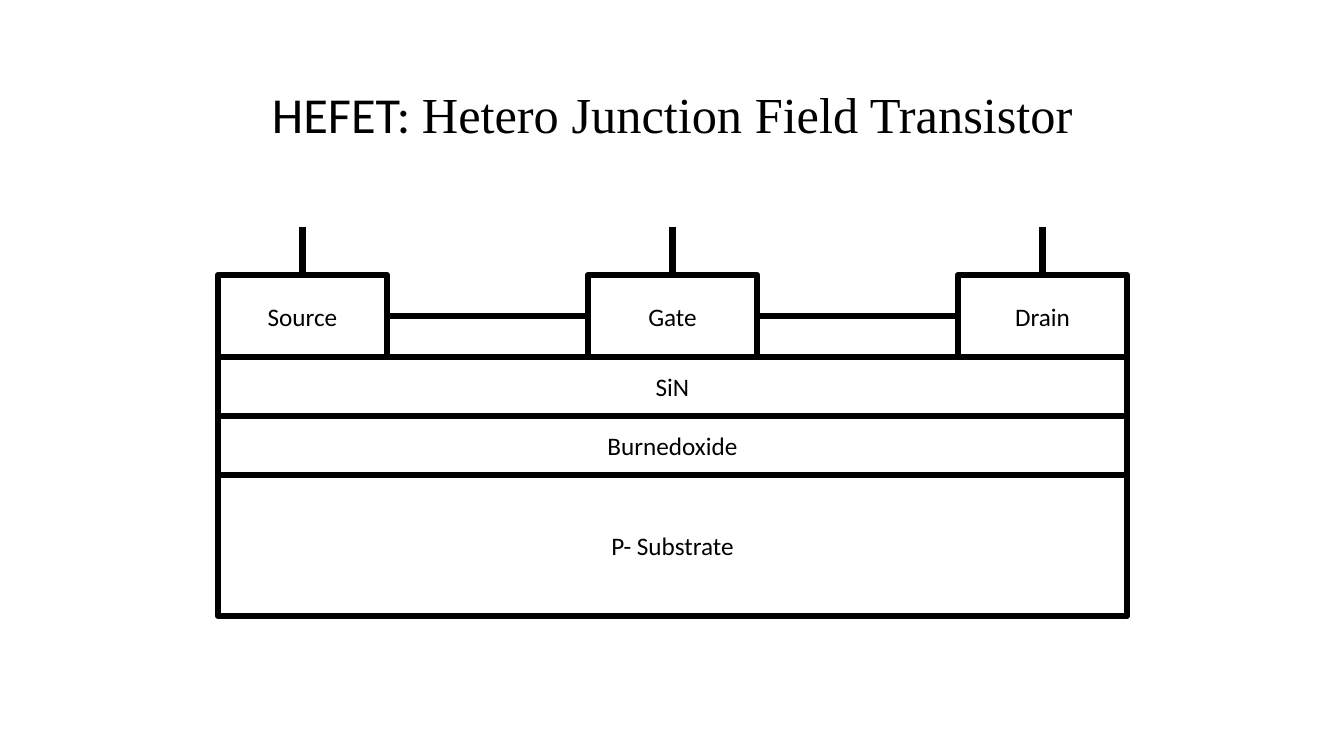
from dataclasses import dataclass
from pptx import Presentation
from pptx.dml.color import RGBColor
from pptx.enum.shapes import MSO_CONNECTOR, MSO_SHAPE
from pptx.enum.text import MSO_ANCHOR, MSO_AUTO_SIZE, PP_ALIGN
from pptx.oxml.ns import qn
from pptx.util import Pt

RECT = MSO_SHAPE.RECTANGLE
LINE = MSO_CONNECTOR.STRAIGHT
MID, TOP = MSO_ANCHOR.MIDDLE, MSO_ANCHOR.TOP
CENTER = PP_ALIGN.CENTER
NO_FIT = MSO_AUTO_SIZE.NONE


@dataclass(frozen=True)
class Theme:
    ink: RGBColor = RGBColor(0, 0, 0)
    paper: RGBColor = RGBColor(255, 255, 255)
    sans: str = "Calibri"
    serif: str = "Times New Roman"
    head: Pt = Pt(36)
    label: Pt = Pt(18)
    stroke: Pt = Pt(4.5)


THEME = Theme()
TITLE = [("HEFET: ", THEME.sans), ("Hetero Junction Field Transistor", THEME.serif)]
LAYERS = [("SiN", 59), ("Burnedoxide", 59), ("P- Substrate", 141)]
PADS = ["Source", "Gate", "Drain"]

WIDE, HIGH = 1344, 756
LEFT, SPAN = 218, 909
TITLE_TOP, TITLE_H = 78, 72
PAD_TOP, PAD_W, PAD_H = 275, 169, 82
LEAD = 48
STEP = (SPAN - PAD_W) // (len(PADS) - 1)


def px(n):
    return round(n * 12192000 / WIDE)


def style(par, size):
    par.alignment = CENTER
    par.font.size = size
    par.font.color.rgb = THEME.ink


def add_box(slide, text, x, y, w, h):
    box = slide.shapes.add_shape(RECT, px(x), px(y), px(w), px(h))
    box.shadow.inherit = False
    box.fill.solid()
    box.fill.fore_color.rgb = THEME.paper
    box.line.color.rgb = THEME.ink
    box.line.width = THEME.stroke
    frame = box.text_frame
    frame.word_wrap = True
    frame.vertical_anchor = MID
    par = frame.paragraphs[0]
    par.text = text
    style(par, THEME.label)
    par.font.name = THEME.sans
    return box


def add_line(slide, x1, y1, x2, y2):
    line = slide.shapes.add_connector(LINE, px(x1), px(y1), px(x2), px(y2))
    line.line.color.rgb = THEME.ink
    line.line.width = THEME.stroke
    props = line._element.spPr
    props.append(props.makeelement(qn("a:effectLst"), {}))
    return line


def set_title(slide):
    title = slide.shapes.title
    title.left, title.top = px(LEFT), px(TITLE_TOP)
    title.width, title.height = px(SPAN), px(TITLE_H)
    frame = title.text_frame
    frame.word_wrap = True
    frame.auto_size = NO_FIT
    frame.vertical_anchor = TOP
    par = frame.paragraphs[0]
    for text, face in TITLE:
        run = par.add_run()
        run.text = text
        run.font.name = face
    style(par, THEME.head)


def main():
    deck = Presentation()
    deck.slide_width, deck.slide_height = px(WIDE), px(HIGH)
    slide = deck.slides.add_slide(deck.slide_layouts[5])
    set_title(slide)

    y = PAD_TOP + PAD_H
    for name, high in LAYERS:
        add_box(slide, name, LEFT, y, SPAN, high)
        y += high

    xs = [LEFT + i * STEP for i in range(len(PADS))]
    pads = [add_box(slide, name, x, PAD_TOP, PAD_W, PAD_H) for name, x in zip(PADS, xs)]

    mid = PAD_TOP + PAD_H / 2
    for x, a, b in zip(xs, pads, pads[1:]):
        link = add_line(slide, x + PAD_W, mid, x + STEP, mid)
        link.begin_connect(a, 3)
        link.end_connect(b, 1)

    for x, pad in zip(xs, pads):
        lead = add_line(slide, x + PAD_W / 2, PAD_TOP, x + PAD_W / 2, PAD_TOP - LEAD)
        lead.begin_connect(pad, 0)

    deck.save("out.pptx")


if __name__ == "__main__":
    main()
